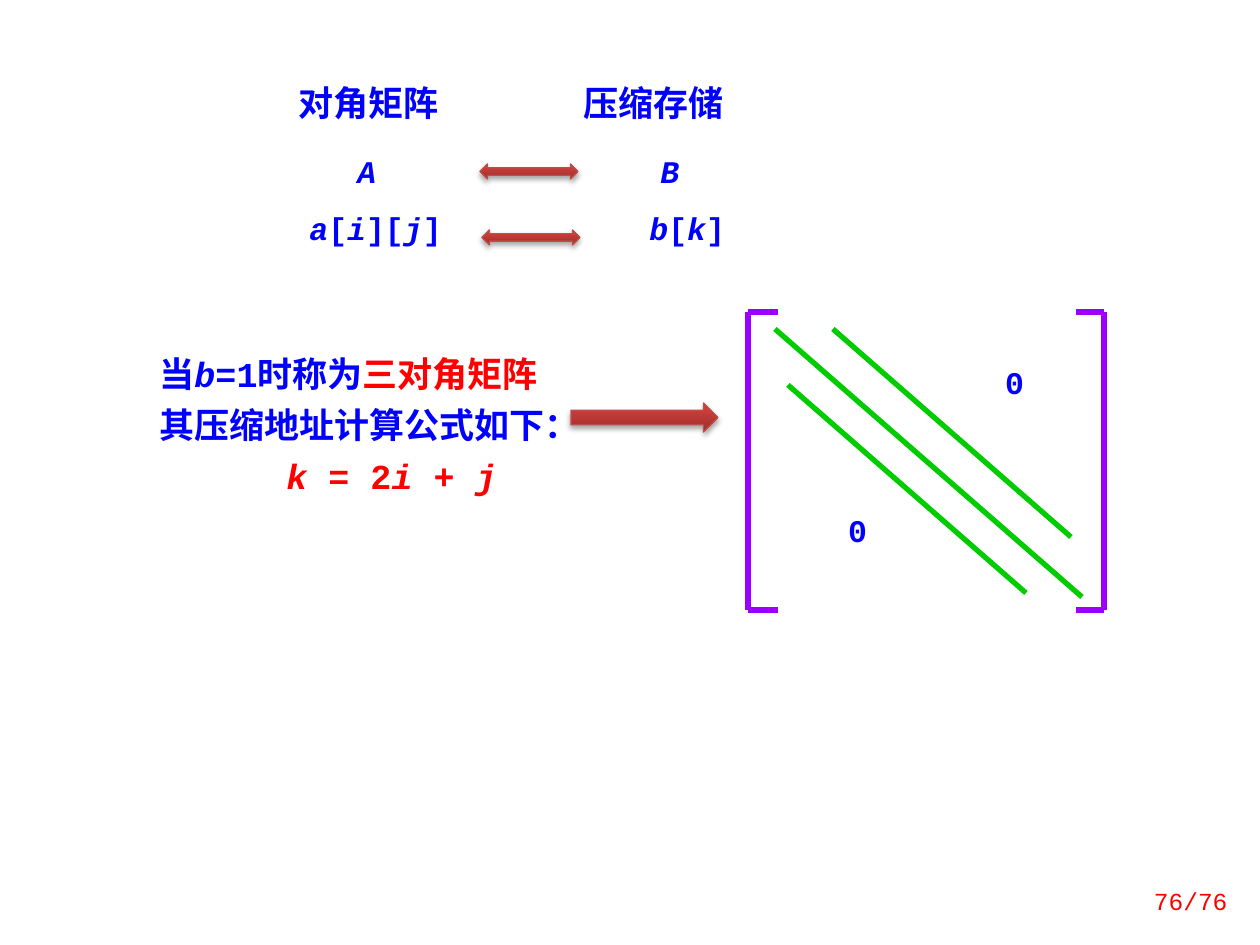
import pptx
import pptx.util
import pptx.dml.color
import pptx.enum.shapes
import pptx.enum.text
import pptx.oxml.ns
from lxml import etree

EMU_PER_PX = 914400 // 126
SHAPES = pptx.enum.shapes.MSO_SHAPE
ALIGN = pptx.enum.text.PP_ALIGN
ANCHOR = pptx.enum.text.MSO_ANCHOR
THEME = {
    "font": "Courier New",
    "blue": "0000FF", "red": "FF0000", "purple": "9900FF", "green": "00CC00",
    "arrow_line": "BF4C48",
    "arrow_stops": [(0, "9C2F2D"), (80, "CB3E3A"), (100, "CE3B37")],
    "heading": 20, "body": 18, "footer": 14, "stroke": 3,
}

# Content: a paragraph is a list of (text, style); i = italic, r = red
HEADINGS = [("对角矩阵", (286, 83, 186, 47)), ("压缩存储", (571, 83, 178, 47))]
MAPPING = [
    ([("\t", ""), ("A", "i"), ("\t", ""), ("B", "i")], (69, 372)),
    ([("\t", ""), ("a", "i"), ("[", ""), ("i", "i"), ("][", ""), ("j", "i"), ("]\t", ""),
      ("b", "i"), ("[", ""), ("k", "i"), ("]", "")], (21, 361)),
]
FORMULA = [
    ([("当", ""), ("b=", "i"), ("1时称为", ""), ("三对角矩阵", "r")], ()),
    ([("其压缩地址计算公式如下：", "")], ()),
    ([("\t", ""), ("k ", "ir"), ("= 2", "r"), ("i ", "ir"), ("+ ", "r"), ("j", "ir")], (127,)),
]
ZEROS = [(808, 512, 99, 43), (965, 364, 99, 43)]
ARROWS = [
    (SHAPES.LEFT_RIGHT_ARROW, (480, 164, 98, 15)),
    (SHAPES.LEFT_RIGHT_ARROW, (482, 230, 98, 15)),
    (SHAPES.RIGHT_ARROW, (571, 403, 147, 29)),
]
BRACKET_TOP, BRACKET_BOTTOM = 312, 610
BRACKETS = [(748, 778), (1104, 1076)]  # upright x, tip x
DIAGONALS = [(775, 329, 1082, 597), (833, 329, 1071, 537), (788, 385, 1026, 593)]


def px(length):
    return pptx.util.Emu(length * EMU_PER_PX)


def color(name):
    return pptx.dml.color.RGBColor.from_string(THEME.get(name, name))


def add_xml(parent, tag, **attributes):
    values = {key: str(value) for key, value in attributes.items()}
    return etree.SubElement(parent, pptx.oxml.ns.qn(tag), values)


def add_text(page, area, paragraphs, size="body", ink="blue", bold=True, align=ALIGN.LEFT,
             spacing=0.8, anchor=ANCHOR.TOP):
    box = page.shapes.add_textbox(*map(px, area))
    frame = box.text_frame
    frame.word_wrap = True
    frame.vertical_anchor = anchor
    for index, (spans, tabs) in enumerate(paragraphs):
        para = frame.add_paragraph() if index else frame.paragraphs[0]
        para.alignment = align
        para.line_spacing = spacing
        para.space_before = pptx.util.Pt(THEME[size] / 2 if index else 0)
        if tabs:
            tab_list = add_xml(para._p.get_or_add_pPr(), "a:tabLst")
            for tab in tabs:
                add_xml(tab_list, "a:tab", pos=px(tab), algn="l")
        for text, style in spans:
            span = para.add_run()
            span.text = text
            span.font.name = THEME["font"]
            span.font.size = pptx.util.Pt(THEME[size])
            span.font.bold = bold
            span.font.italic = "i" in style
            span.font.color.rgb = color("red" if "r" in style else ink)


def add_line(page, ends, ink):
    line = page.shapes.add_connector(pptx.enum.shapes.MSO_CONNECTOR.STRAIGHT, *map(px, ends))
    line.line.color.rgb = color(ink)
    line.line.width = pptx.util.Pt(THEME["stroke"])
    add_xml(line._element.spPr, "a:effectLst")


def add_arrow(page, kind, area):
    arrow = page.shapes.add_shape(kind, *map(px, area))
    arrow.line.color.rgb = color("arrow_line")
    arrow.line.width = pptx.util.Pt(0.75)
    arrow.fill.gradient()
    arrow.fill.gradient_angle = 90
    properties = arrow._element.spPr
    stops = properties.find(".//" + pptx.oxml.ns.qn("a:gsLst"))
    for stop in list(stops):
        stops.remove(stop)
    for percent, value in THEME["arrow_stops"]:
        add_xml(add_xml(stops, "a:gs", pos=percent * 1000), "a:srgbClr", val=value)
    arrow.shadow.inherit = False
    effects = properties.find(pptx.oxml.ns.qn("a:effectLst"))
    shadow = add_xml(effects, "a:outerShdw", blurRad=pptx.util.Pt(3.1), dist=pptx.util.Pt(1.8),
                     dir=5400000, rotWithShape=0)
    add_xml(add_xml(shadow, "a:srgbClr", val="000000"), "a:alpha", val=35000)


def main():
    deck = pptx.Presentation()
    deck.slide_width, deck.slide_height = px(1260), px(945)
    page = deck.slides.add_slide(deck.slide_layouts[6])

    # Mapping from matrix to compressed storage
    for text, area in HEADINGS:
        add_text(page, area, [([(text, "")], ())], size="heading")
    add_text(page, (276, 137, 486, 116), MAPPING, spacing=1.1, anchor=ANCHOR.BOTTOM)

    # Tridiagonal case and its address formula
    add_text(page, (147, 354, 433, 158), FORMULA, size="heading")
    for kind, area in ARROWS:
        add_arrow(page, kind, area)

    # Matrix sketch: brackets, diagonals, zero corners
    for upright, tip in BRACKETS:
        add_line(page, (upright, BRACKET_TOP, upright, BRACKET_BOTTOM), "purple")
        for y in (BRACKET_TOP, BRACKET_BOTTOM):
            add_line(page, (upright, y, tip, y), "purple")
    for ends in DIAGONALS:
        add_line(page, ends, "green")
    for area in ZEROS:
        add_text(page, area, [([("0", "")], ())], align=ALIGN.CENTER)

    # Page number
    add_text(page, (1106, 876, 134, 50), [([("76/76", "")], ())], size="footer", ink="red",
             bold=False, align=ALIGN.RIGHT, spacing=1.0, anchor=ANCHOR.MIDDLE)
    deck.save("out.pptx")


if __name__ == "__main__":
    main()
